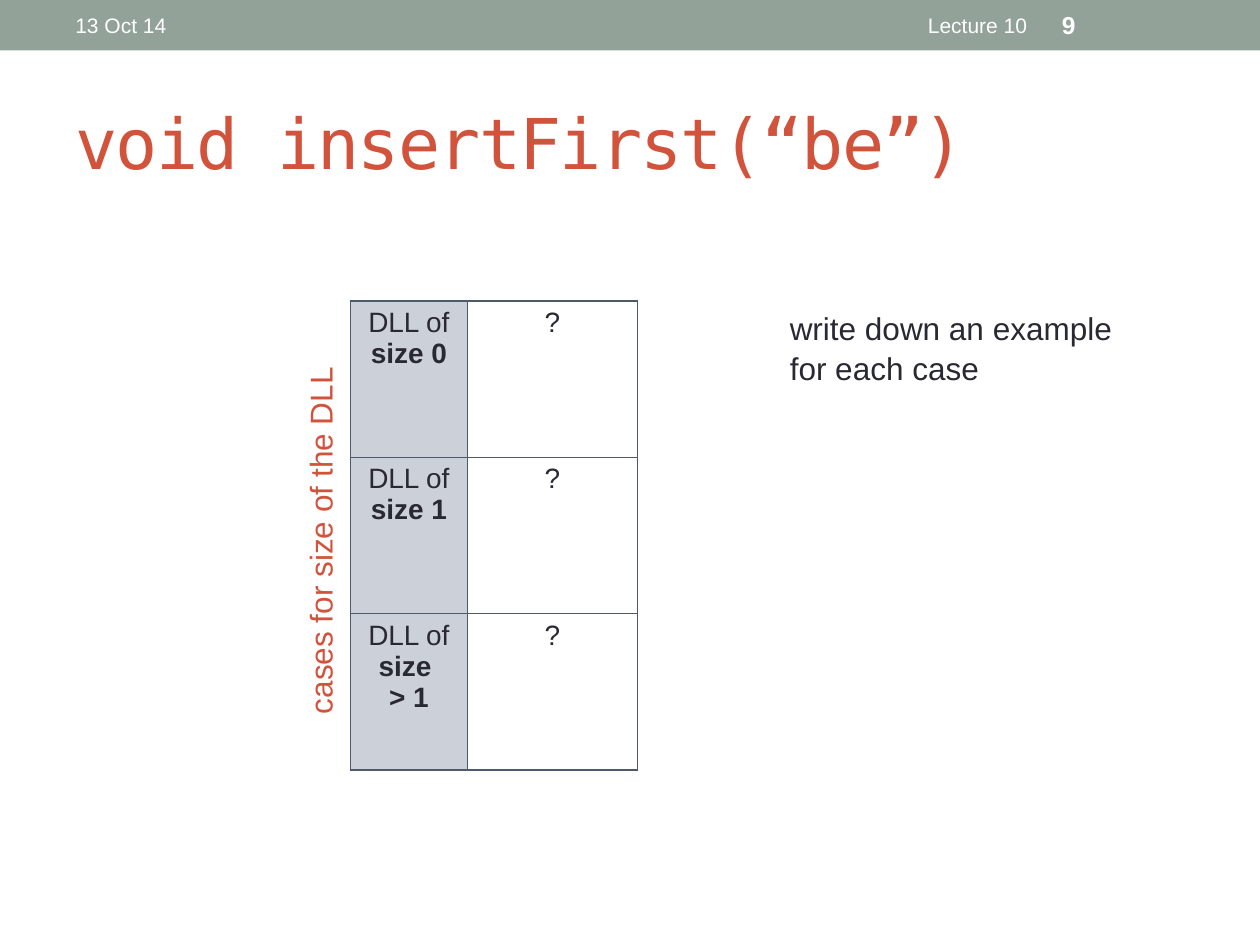
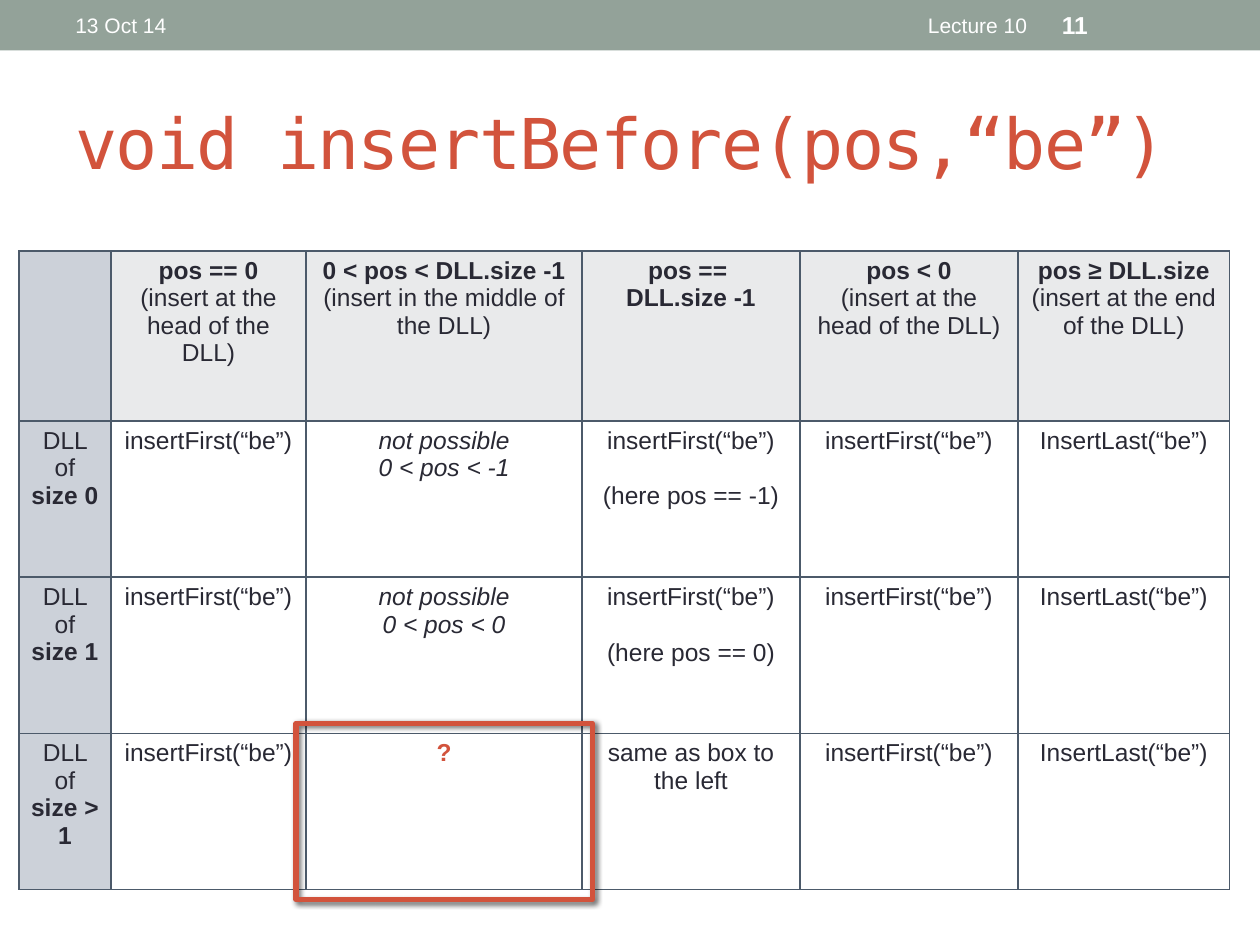
from lxml.etree import SubElement
from pptx import Presentation
from pptx.dml.color import RGBColor
from pptx.enum.shapes import MSO_SHAPE as SHAPE
from pptx.enum.text import MSO_ANCHOR as ANCHOR, MSO_AUTO_SIZE as AUTO, PP_ALIGN as ALIGN
from pptx.oxml.ns import qn
from pptx.util import Inches, Pt

COLS, ROWS = 10, 7.5
SAGE = RGBColor(0x93, 0xA2, 0x99)
RUST = RGBColor(0xD2, 0x53, 0x3C)
INK = RGBColor(0x29, 0x29, 0x34)
SLATE = RGBColor(0x4C, 0x5A, 0x6A)
ROW_HEAD = RGBColor(0xCC, 0xD1, 0xD9)
COL_HEAD = RGBColor(0xE9, 0xEA, 0xEB)
WHITE = RGBColor(0xFF, 0xFF, 0xFF)
SANS, MONO = "Arial", "DejaVu Sans Mono"
CASE_ROW = 1.24


def units(box):
    return [Inches(v) for v in box]


def write(p, text, size=18, color=INK, font=SANS, bold=False, italic=False, spacing=None):
    r = p.add_run()
    r.text = text
    f = r.font
    f.size, f.name, f.bold, f.italic = Pt(size), font, bold, italic
    f.color.rgb = color
    if spacing is not None:
        r._r.get_or_add_rPr().set("spc", str(spacing * 100))


def paragraphs(tf, count):
    return [tf.paragraphs[0]] + [tf.add_paragraph() for _ in range(count - 1)]


def label(s, box, text, align=ALIGN.LEFT, **fmt):
    tf = s.shapes.add_textbox(*units(box)).text_frame
    tf.word_wrap = True
    tf.vertical_anchor = ANCHOR.MIDDLE
    p = tf.paragraphs[0]
    p.alignment = align
    write(p, text, **fmt)


def note(s, box, lines, rotation=0, **fmt):
    sp = s.shapes.add_textbox(*units(box))
    sp.rotation = rotation
    tf = sp.text_frame
    tf.word_wrap = False
    tf.auto_size = AUTO.SHAPE_TO_FIT_TEXT
    for p, line in zip(paragraphs(tf, len(lines)), lines):
        p.line_spacing = 1.05
        write(p, line, **fmt)


def header(s, box, number):
    x, y, w, h = box
    band = s.shapes.add_shape(SHAPE.RECTANGLE, *units(box))
    band.shadow.inherit = False
    band.fill.solid()
    band.fill.fore_color.rgb = SAGE
    band.line.fill.background()
    top, tall = y + 0.02, h - 0.04
    label(s, (x + 0.05 * w, top, 3.17, tall), "13 Oct 14", size=12, color=WHITE)
    label(s, (x + 0.375 * w, top, 4.5, tall), "Lecture 10", ALIGN.RIGHT, size=12, color=WHITE)
    label(s, (x + 0.833 * w, top, 1.17, tall), str(number), size=14, color=WHITE, bold=True)


def lecture_slide(prs, number, title):
    s = prs.slides.add_slide(prs.slide_layouts[6])
    header(s, (0, 0, COLS, 0.4), number)
    label(s, (0.5, 0.58, COLS - 1, 1.08), title, size=40, color=RUST, font=MONO, spacing=-1)
    return s


def border(cell):
    tc_pr = cell._tc.get_or_add_tcPr()
    for side in ("lnL", "lnR", "lnT", "lnB"):
        ln = SubElement(tc_pr, qn("a:" + side), w=str(Pt(1)))
        fill = SubElement(ln, qn("a:solidFill"))
        SubElement(fill, qn("a:srgbClr"), val=str(SLATE))


def fill_cell(cell, lines, fill, size):
    border(cell)
    cell.fill.solid()
    cell.fill.fore_color.rgb = fill
    for p, runs in zip(paragraphs(cell.text_frame, len(lines)), lines):
        p.alignment = ALIGN.CENTER
        for text, fmt in runs:
            if "gap" in fmt:
                p.space_before = Pt(fmt["gap"])
            write(p, text, size=size, **{k: v for k, v in fmt.items() if k != "gap"})


def case_table(s, left, top, widths, heights, rows, size, has_head):
    box = units((left, top, sum(widths), sum(heights)))
    table = s.shapes.add_table(len(heights), len(widths), *box).table
    table.first_row = table.horz_banding = False
    for column, width in zip(table.columns, widths):
        column.width = Inches(width)
    for row, height in zip(table.rows, heights):
        row.height = Inches(height)
    for i, row in enumerate(rows):
        for j, lines in enumerate(row):
            cell = table.cell(i, j)
            fill = ROW_HEAD if j == 0 else COL_HEAD if has_head and i == 0 else WHITE
            if j == 0:
                cell.margin_left = cell.margin_right = Inches(0.09)
            fill_cell(cell, lines, fill, size)


def frame_cell(s, left, top, widths, heights, i, j, pad=0.08):
    box = (left + sum(widths[:j]) - pad, top + sum(heights[:i]) - pad,
           widths[j] + 2 * pad, heights[i] + 2 * pad)
    sp = s.shapes.add_shape(SHAPE.RECTANGLE, *units(box))
    sp.fill.background()
    sp.line.color.rgb = RUST
    sp.line.width = Pt(3)
    sp.shadow.inherit = False
    effects = sp._element.spPr.find(qn("a:effectLst"))
    shadow = SubElement(effects, qn("a:outerShdw"), blurRad=str(Pt(3)), dist=str(Pt(2)),
                        dir=str(45 * 60000), algn="tl", rotWithShape="0")
    color = SubElement(shadow, qn("a:srgbClr"), val="000000")
    SubElement(color, qn("a:alpha"), val="60000")


def plain(text, **fmt):
    return [(text, fmt)]


def bold(text, **fmt):
    return plain(text, bold=True, **fmt)


def case(size):
    return [plain("DLL of ") + bold(size)]


def insert_first_slide(prs):
    s = lecture_slide(prs, 9, "void insertFirst(“be”)")
    heads = [case("size 0"), case("size 1"), case("size ") + [bold("> 1")]]
    rows = [[head, [plain("?")]] for head in heads]
    case_table(s, 2.78, 2.39, [0.93, 1.35], [CASE_ROW] * 3, rows, 16, False)
    note(s, (1.04, 4.08, 2.97, 0.4), ["cases for size of the DLL"], rotation=270, color=RUST)
    note(s, (6.17, 2.39, 2.8, 0.71), ["write down an example", "for each case"])


def insert_before_slide(prs):
    s = lecture_slide(prs, 11, "void insertBefore(pos,“be”)")
    first, last = [plain("insertFirst(“be”)")], [plain("InsertLast(“be”)")]
    at_head = plain("(insert at the head of the DLL)")
    rows = [[[],
             [bold("pos == 0"), at_head],
             [bold("0 < pos < DLL.size -1"), plain("(insert in the middle of the DLL)")],
             [bold("pos == "), bold("DLL.size -1")],
             [bold("pos < 0"), at_head],
             [bold("pos ≥ DLL.size"), plain("(insert at the end of the DLL)")]]]
    for size in (0, 1):
        impossible = [plain(t, italic=True) for t in ("not possible", f"0 < pos < {size - 1}")]
        here = first + [plain(f"(here pos == {size - 1})", gap=16)]
        rows.append([case(f"size {size}"), first, impossible, here, first, last])
    rows.append([case("size > 1"), first, [bold("?", color=RUST)],
                 [plain("same as box to the left")], first, last])
    grid = (0.15, 1.99, [0.73, 1.55, 2.19, 1.73, 1.73, 1.68], [1.35] + [CASE_ROW] * 3)
    case_table(s, *grid, rows, 14, True)
    frame_cell(s, *grid, 3, 2)


prs = Presentation()
prs.slide_width, prs.slide_height = units((COLS, ROWS))
insert_first_slide(prs)
insert_before_slide(prs)
prs.save("out.pptx")
